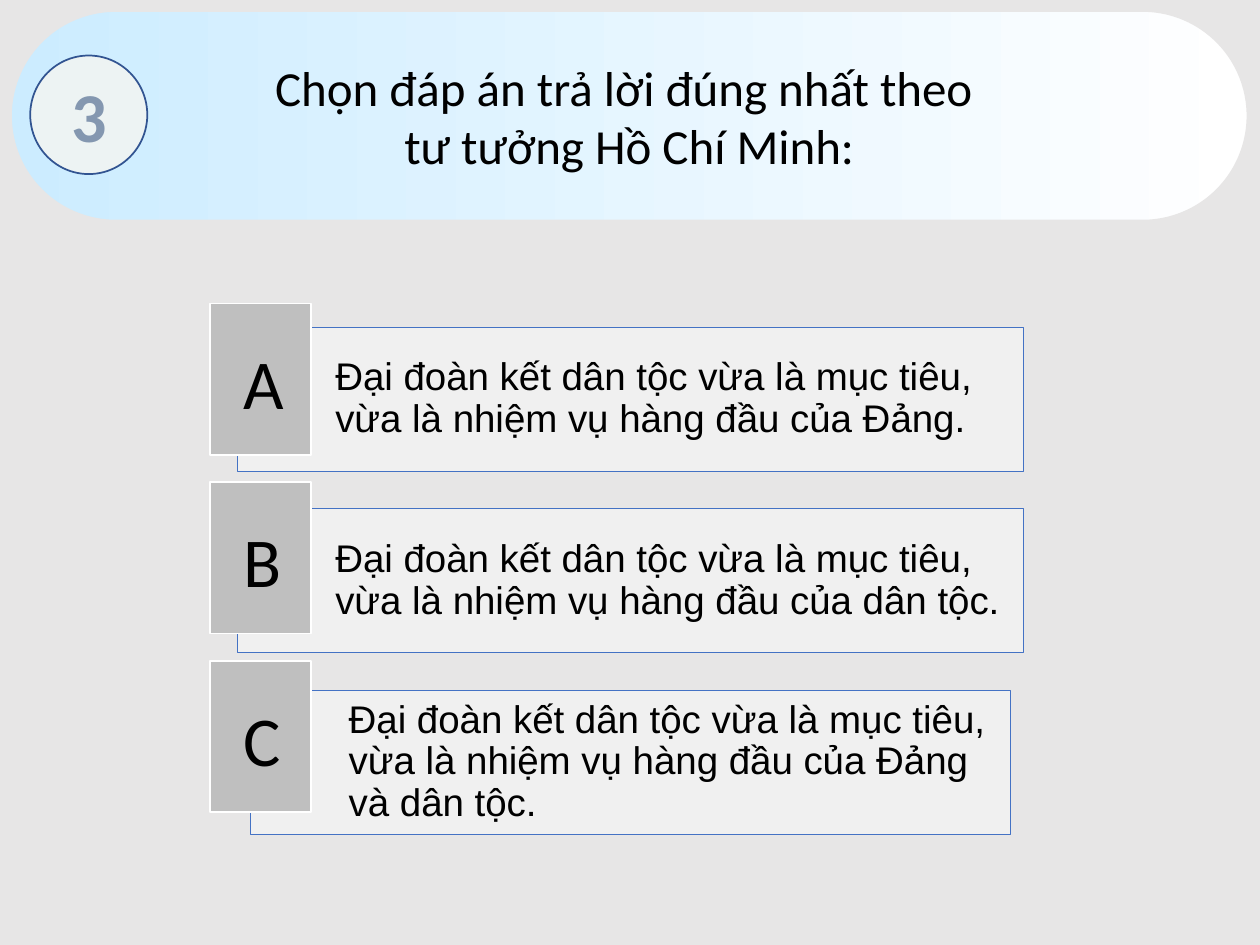
from dataclasses import dataclass

from lxml.etree import SubElement
from pptx import Presentation
from pptx.dml.color import RGBColor
from pptx.enum.shapes import MSO_SHAPE as Shape
from pptx.enum.text import MSO_ANCHOR as Anchor, PP_ALIGN as Align
from pptx.oxml.ns import qn
from pptx.util import Cm, Pt


@dataclass(frozen=True)
class Theme:
    background: str = "E7E6E6"
    banner_start: str = "CCECFF"
    white: str = "FFFFFF"
    text: str = "000000"
    badge_fill: str = "EDF3F3"
    badge_line: str = "325491"
    badge_text: str = "8497B0"
    answer_line: str = "4472C4"
    tab_fill: str = "BFBFBF"
    heading_font: str = "Calibri"
    answer_font: str = "Arial"
    title_size: int = 28
    letter_size: int = 40
    answer_size: int = 22
    answer_opacity: int = 40


def color(value):
    return RGBColor.from_string(value)


class QuizSlide:
    def __init__(self, presentation, theme):
        self.theme = theme
        self.slide = presentation.slides.add_slide(presentation.slide_layouts[5])
        background = self.slide.background.fill
        background.solid()
        background.fore_color.rgb = color(theme.background)

    def box(self, kind, frame, fill, line, line_width):
        shape = self.slide.shapes.add_shape(kind, *map(Cm, frame))
        shape.shadow.inherit = False
        shape.fill.solid()
        shape.fill.fore_color.rgb = color(fill)
        shape.line.color.rgb = color(line)
        shape.line.width = Pt(line_width)
        return shape

    def set_text(self, shape, text, font, size, ink, align=Align.LEFT, bold=False, spacing=1.0):
        frame = shape.text_frame
        frame.word_wrap = True
        frame.text = text
        for paragraph in frame.paragraphs:
            paragraph.alignment = align
            paragraph.line_spacing = spacing
            for run in paragraph.runs:
                run.font.name = font
                run.font.size = Pt(size)
                run.font.bold = bold
                run.font.color.rgb = color(ink)
        return frame

    def title(self, text, frame):
        """Place the title placeholder over a pill-shaped gradient banner."""
        theme = self.theme
        banner = self.box(Shape.ROUNDED_RECTANGLE, frame, theme.white, theme.background, 2.25)
        banner.adjustments[0] = 0.5
        banner.fill.gradient()
        banner.fill.gradient_angle = 0
        for stop, value in zip(banner.fill.gradient_stops, (theme.banner_start, theme.white)):
            stop.color.rgb = color(value)
        title = self.slide.shapes.title
        title.left, title.top, title.width, title.height = map(Cm, frame)
        self.set_text(title, text, theme.heading_font, theme.title_size, theme.text, Align.CENTER)
        title.text_frame.vertical_anchor = Anchor.MIDDLE
        banner._element.addnext(title._element)

    def badge(self, number, frame):
        theme = self.theme
        circle = self.box(Shape.OVAL, frame, theme.badge_fill, theme.badge_line, 1)
        text_frame = self.set_text(circle, number, theme.heading_font, theme.letter_size,
                                   theme.badge_text, Align.CENTER, bold=True)
        text_frame.vertical_anchor = Anchor.MIDDLE

    def answer(self, text, frame):
        theme = self.theme
        panel = self.box(Shape.RECTANGLE, frame, theme.white, theme.answer_line, 0.5)
        tint = panel._element.spPr.find(qn("a:solidFill"))[0]
        SubElement(tint, qn("a:alpha"), val=str(theme.answer_opacity * 1000))
        text_frame = self.set_text(panel, text, theme.answer_font, theme.answer_size,
                                   theme.text, spacing=0.9)
        text_frame.margin_left = Cm(1.98)
        text_frame.margin_right = text_frame.margin_top = text_frame.margin_bottom = Cm(0.23)
        text_frame.vertical_anchor = Anchor.MIDDLE

    def tab(self, frame):
        self.box(Shape.RECTANGLE, frame, self.theme.tab_fill, self.theme.white, 1)

    def letter(self, text, frame):
        text_box = self.slide.shapes.add_textbox(*map(Cm, frame))
        self.set_text(text_box, text, self.theme.heading_font, self.theme.letter_size,
                      self.theme.text)


def main():
    presentation = Presentation()
    presentation.slide_width = Cm(25.4)
    presentation.slide_height = Cm(19.05)

    quiz = QuizSlide(presentation, Theme())
    quiz.title("Chọn đáp án trả lời đúng nhất theo \ntư tưởng Hồ Chí Minh:",
               (0.2, 0.2, 24.97, 4.27))
    quiz.badge("3", (0.61, 1.12, 2.36, 2.39))

    common = "Đại đoàn kết dân tộc vừa là mục tiêu, vừa là nhiệm vụ hàng đầu của "
    answers = [
        ("A", "Đảng.", 4.78, 15.85),
        ("B", "dân tộc.", 4.78, 15.85),
        ("C", "Đảng và dân tộc.", 5.05, 15.32),
    ]
    panel_pitch, tab_pitch = 3.66, 3.6
    for row, (letter, ending, left, width) in enumerate(answers):
        quiz.answer(common + ending, (left, 6.6 + row * panel_pitch, width, 2.9))
        quiz.tab((4.24, 6.12 + row * tab_pitch, 2.03, 3.05))
        quiz.letter(letter, (4.65, 6.71 + row * tab_pitch, 1.47, 1.96))

    presentation.save("out.pptx")


if __name__ == "__main__":
    main()
